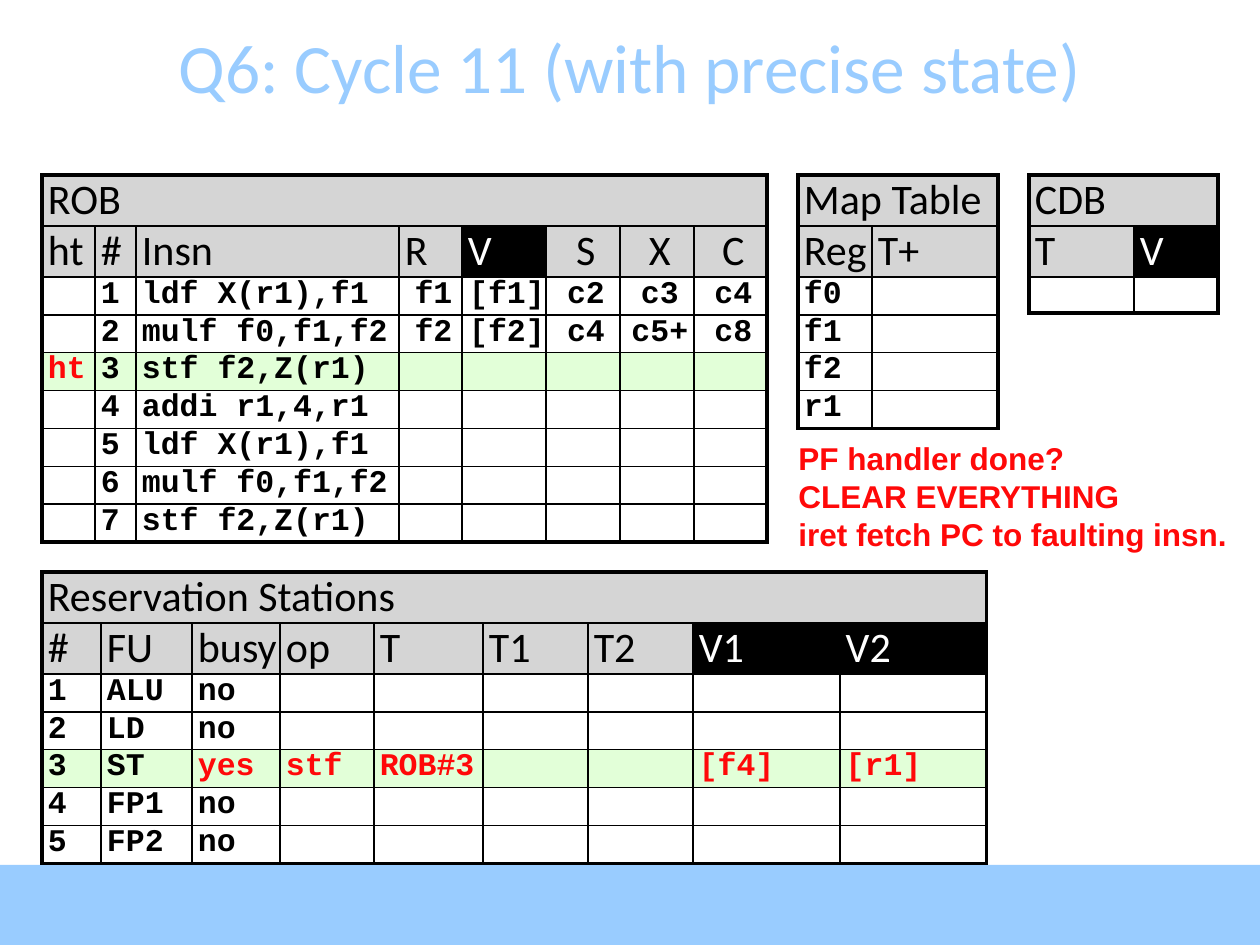
from dataclasses import dataclass

from lxml.etree import SubElement
from pptx import Presentation
from pptx.dml.color import RGBColor
from pptx.enum.shapes import MSO_SHAPE
from pptx.enum.text import MSO_ANCHOR, PP_ALIGN
from pptx.oxml.ns import qn
from pptx.util import Emu, Pt

PX = 914400 / 126
SLIDE_WIDTH, SLIDE_HEIGHT = 1260, 945


@dataclass(frozen=True)
class Theme:
    sky: str = "99CCFF"
    black: str = "000000"
    white: str = "FFFFFF"
    grey: str = "D5D5D5"
    green: str = "E2FFD8"
    red: str = "FF0909"
    title_font: str = "Calibri"
    code_font: str = "Courier New"
    note_font: str = "Arial"
    title_size: float = 39.6
    header_size: int = 24
    body_size: int = 18
    empty_size: int = 16
    outer_line: float = 2.25
    inner_line: float = 1


THEME = Theme()
HEADER_ROWS, HEADER_HEIGHT, BODY_HEIGHT, CELL_INSET = 2, 51, 36, 6

TITLE = "Q6: Cycle 11 (with precise state)"
NOTE = ["PF handler done?", "CLEAR EVERYTHING", "iret fetch PC to faulting insn."]

# dark: header columns in black; current: highlighted body row;
# changed: texts shown in red; centred: (header columns, body columns)
TABLES = [
    dict(
        title="ROB", left=42, top=175,
        widths=[53, 41, 263, 63, 84, 74, 74, 73],
        header=["ht", "#", "Insn", "R", "V", "S", "X", "C"],
        body=[
            ["", "1", "ldf X(r1),f1", "f1", "[f1]", "c2", "c3", "c4"],
            ["", "2", "mulf f0,f1,f2", "f2", "[f2]", "c4", "c5+", "c8"],
            ["ht", "3", "stf f2,Z(r1)"],
            ["", "4", "addi r1,4,r1"],
            ["", "5", "ldf X(r1),f1"],
            ["", "6", "mulf f0,f1,f2"],
            ["", "7", "stf f2,Z(r1)"],
        ],
        dark={4}, current=2, changed={"ht"},
        centred=({5, 6, 7}, {3, 4, 5, 6, 7}),
    ),
    dict(
        title="Map Table", left=798, top=175, widths=[74, 126],
        header=["Reg", "T+"],
        body=[["f0"], ["f1"], ["f2"], ["r1"]],
    ),
    dict(
        title="Reservation Stations", left=42, top=572,
        widths=[59, 91, 88, 94, 109, 105, 105, 147, 147],
        header=["#", "FU", "busy", "op", "T", "T1", "T2", "V1", "V2"],
        body=[
            ["1", "ALU", "no"],
            ["2", "LD", "no"],
            ["3", "ST", "yes", "stf", "ROB#3", "", "", "[f4]", "[r1]"],
            ["4", "FP1", "no"],
            ["5", "FP2", "no"],
        ],
        dark={7, 8}, current=2,
        changed={"yes", "stf", "ROB#3", "[f4]", "[r1]"},
    ),
    dict(
        title="CDB", left=1029, top=175, widths=[105, 84],
        header=["T", "V"], body=[[]], dark={1},
    ),
]


def px(length):
    return Emu(round(length * PX))


def rgb(colour):
    return RGBColor.from_string(colour)


def style_runs(paragraph, font_name, size, colour, bold=False):
    for run in paragraph.runs:
        run.font.name = font_name
        run.font.size = Pt(size)
        run.font.color.rgb = rgb(colour)
        run.font.bold = bold


def set_borders(cell, widths):
    """Draw black cell borders; widths maps L, R, T and B to points."""
    properties = cell._tc.get_or_add_tcPr()
    for index, (side, width) in enumerate(widths.items()):
        line = properties.makeelement(qn(f"a:ln{side}"), {"w": str(Pt(width))})
        fill = SubElement(line, qn("a:solidFill"))
        SubElement(fill, qn("a:srgbClr"), val=THEME.black)
        properties.insert(index, line)


def fill_cell(cell, text, background, font, centred):
    cell.fill.solid()
    cell.fill.fore_color.rgb = rgb(background)
    cell.margin_left = px(CELL_INSET)
    cell.margin_right = cell.margin_top = cell.margin_bottom = 0
    paragraph = cell.text_frame.paragraphs[0]
    paragraph.text = text
    if centred:
        paragraph.alignment = PP_ALIGN.CENTER
    style_runs(paragraph, *font)
    if not text:  # keeps empty cells from stretching the row
        SubElement(paragraph._p, qn("a:endParaRPr"), sz=str(THEME.empty_size * 100))


def cell_look(data, row, column, text):
    """Return the background and the font of one cell."""
    if row < HEADER_ROWS:
        dark = row == 1 and column in data.get("dark", ())
        colour = THEME.white if dark else THEME.black
        background = THEME.black if dark else THEME.grey
        return background, (THEME.title_font, THEME.header_size, colour)
    current = row - HEADER_ROWS == data.get("current")
    colour = THEME.red if text in data.get("changed", ()) else THEME.black
    background = THEME.green if current else THEME.white
    return background, (THEME.code_font, THEME.body_size, colour, True)


def add_state_table(slide, data):
    rows = [[data["title"]], data["header"], *data["body"]]
    widths = data["widths"]
    heights = [HEADER_HEIGHT if row < HEADER_ROWS else BODY_HEIGHT for row in range(len(rows))]
    table = slide.shapes.add_table(
        len(rows), len(widths), px(data["left"]), px(data["top"]),
        px(sum(widths)), px(sum(heights)),
    ).table
    table.first_row = table.horz_banding = False
    for column, width in zip(table.columns, widths):
        column.width = px(width)
    last_row, last_column = len(rows) - 1, len(widths) - 1
    header_centred, body_centred = data.get("centred", ((), ()))
    for row, texts in enumerate(rows):
        table.rows[row].height = px(heights[row])
        texts = texts + [""] * (len(widths) - len(texts))
        for column, text in enumerate(texts):
            cell = table.cell(row, column)
            background, font = cell_look(data, row, column, text)
            centred = row > 0 and column in (header_centred if row == 1 else body_centred)
            fill_cell(cell, text, background, font, centred)
            outer = {
                "L": column == 0, "R": column == last_column or row == 0,
                "T": row == 0, "B": row == last_row,
            }
            set_borders(cell, {
                side: THEME.outer_line if edge else THEME.inner_line
                for side, edge in outer.items()
            })
    table.cell(0, 0).merge(table.cell(0, last_column))


def add_text(slide, box, lines, font, wrap=True):
    text_frame = slide.shapes.add_textbox(*map(px, box)).text_frame
    text_frame.word_wrap = wrap
    text_frame.text = "\n".join(lines)
    for paragraph in text_frame.paragraphs:
        style_runs(paragraph, *font)
    return text_frame


def main():
    presentation = Presentation()
    presentation.slide_width, presentation.slide_height = px(SLIDE_WIDTH), px(SLIDE_HEIGHT)
    slide = presentation.slides.add_slide(presentation.slide_layouts[6])

    footer = slide.shapes.add_shape(
        MSO_SHAPE.RECTANGLE, *map(px, (0, 865, SLIDE_WIDTH, SLIDE_HEIGHT - 865)))
    footer.shadow.inherit = False
    footer.fill.solid()
    footer.fill.fore_color.rgb = rgb(THEME.sky)
    footer.line.fill.background()

    title = add_text(slide, (0, 26, SLIDE_WIDTH, 80), [TITLE],
                     (THEME.title_font, THEME.title_size, THEME.sky))
    title.vertical_anchor = MSO_ANCHOR.MIDDLE
    title.paragraphs[0].alignment = PP_ALIGN.CENTER

    for data in TABLES:
        add_state_table(slide, data)

    add_text(slide, (786, 433, 459, 127), NOTE,
             (THEME.note_font, THEME.body_size, THEME.red, True), wrap=False)

    presentation.save("out.pptx")


if __name__ == "__main__":
    main()
